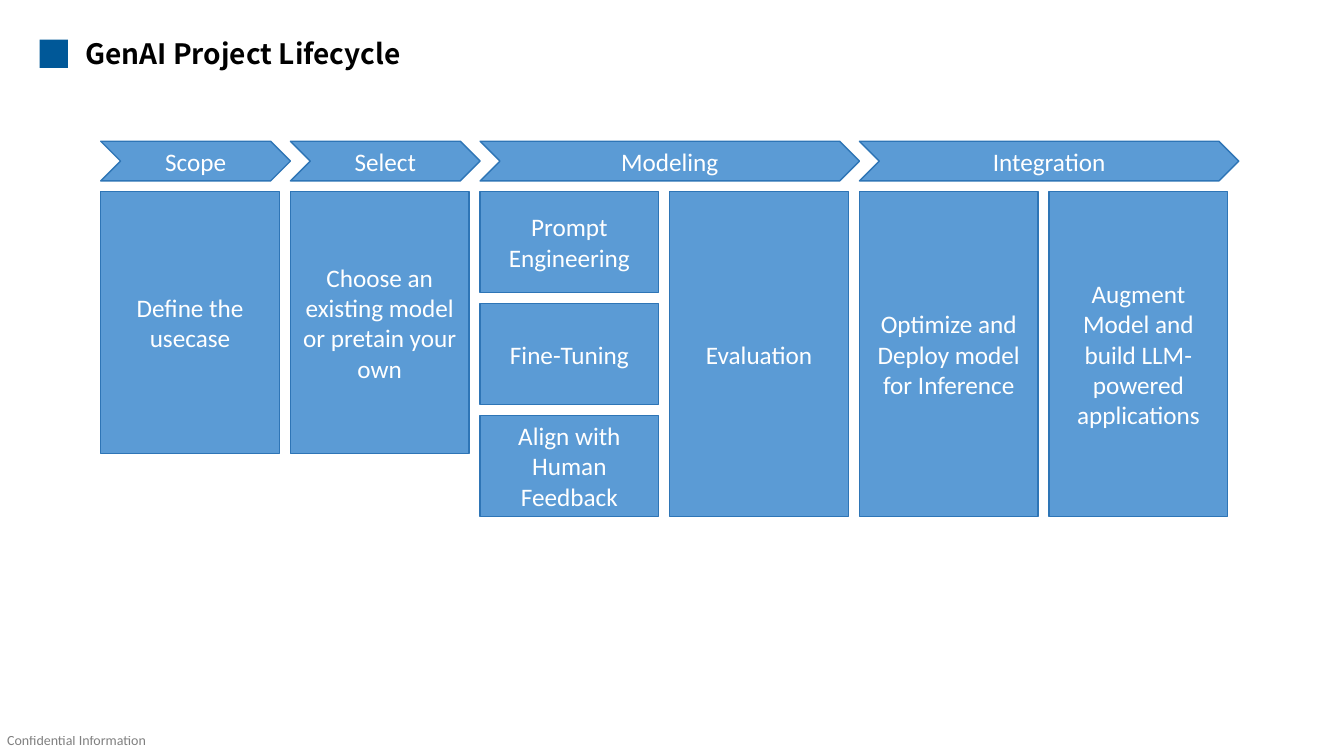
"""Build the GenAI project lifecycle slide."""
from lxml import etree
from pptx import Presentation, util as u
from pptx.dml.color import RGBColor
from pptx.enum import shapes, text
from pptx.oxml.ns import qn

TITLE = "GenAI Project Lifecycle"
FOOTER = "Confidential Information"
PHASES = [("Scope", 1), ("Select", 1), ("Modeling", 2), ("Integration", 2)]
SHORT, TALL = 6.6, 8.18
STEPS = [
    (SHORT, ["Define the usecase"]),
    (SHORT, ["Choose an existing model or pretain your own"]),
    (TALL, ["Prompt Engineering", "Fine-Tuning", "Align with Human Feedback"]),
    (TALL, ["Evaluation"]),
    (TALL, ["Optimize and Deploy model for Inference"]),
    (TALL, ["Augment Model and build LLM-powered applications"]),
]
COLORS = {"marker": "005898", "fill": "5B9BD5", "line": "2E75B6",
          "light": "FFFFFF", "dark": "000000"}
LEFT, PITCH, GAP = 2.54, 4.78, 0.28
PHASE_TOP, PHASE_HEIGHT, STEP_TOP = 3.56, 1, 4.83


def color(name):
    return RGBColor.from_string(COLORS[name])


def write(frame, words, size=18, font="Calibri", ink="light", bold=False,
          align=text.PP_ALIGN.CENTER, anchor=text.MSO_ANCHOR.MIDDLE,
          wrap=True, alpha=None):
    frame.word_wrap = wrap
    frame.vertical_anchor = anchor
    paragraph = frame.paragraphs[0]
    paragraph.alignment = align
    run = paragraph.add_run()
    run.text = words
    run.font.size = u.Pt(size)
    run.font.name = font
    run.font.bold = bold
    run.font.color.rgb = color(ink)
    if alpha:
        ink_xml = run._r.find(".//" + qn("a:srgbClr"))
        etree.SubElement(ink_xml, qn("a:alpha")).set("val", str(alpha * 1000))


def block(slide, kind, box, fill="fill", line=None):
    shape = slide.shapes.add_shape(kind, *map(u.Cm, box))
    shape.shadow.inherit = False
    shape.fill.solid()
    shape.fill.fore_color.rgb = color(fill)
    if line:
        shape.line.color.rgb = color(line)
        shape.line.width = u.Pt(1)
    else:
        shape.line.fill.background()
    return shape


def main():
    deck = Presentation()
    deck.slide_width, deck.slide_height = u.Cm(33.87), u.Cm(19.05)
    slide = deck.slides.add_slide(deck.slide_layouts[6])
    kinds = shapes.MSO_SHAPE
    heading = {"align": text.PP_ALIGN.LEFT, "anchor": text.MSO_ANCHOR.TOP, "ink": "dark"}

    footer = slide.shapes.add_textbox(*map(u.Cm, (0.18, 18.44, 3.6, 0.43))).text_frame
    footer.margin_left = footer.margin_right = footer.margin_top = footer.margin_bottom = 0
    write(footer, FOOTER, size=10, wrap=False, alpha=50, **heading)

    block(slide, kinds.RECTANGLE, (1, 1, 0.71, 0.71), fill="marker")
    title = slide.shapes.add_textbox(*map(u.Cm, (1.9, 0.79, 17, 1.11))).text_frame
    write(title, TITLE, size=20, font="Noto Sans CJK SC", bold=True, **heading)

    column = 0
    for phase, span in PHASES:
        box = (LEFT + column * PITCH, PHASE_TOP, span * PITCH, PHASE_HEIGHT)
        write(block(slide, kinds.CHEVRON, box, line="line").text_frame, phase)
        column += span

    for column, (height, steps) in enumerate(STEPS):
        step_height = (height - GAP * (len(steps) - 1)) / len(steps)
        for row, step in enumerate(steps):
            box = (LEFT + column * PITCH, STEP_TOP + row * (step_height + GAP),
                   PITCH - GAP, step_height)
            write(block(slide, kinds.RECTANGLE, box, line="line").text_frame, step)

    deck.save("out.pptx")


if __name__ == "__main__":
    main()
